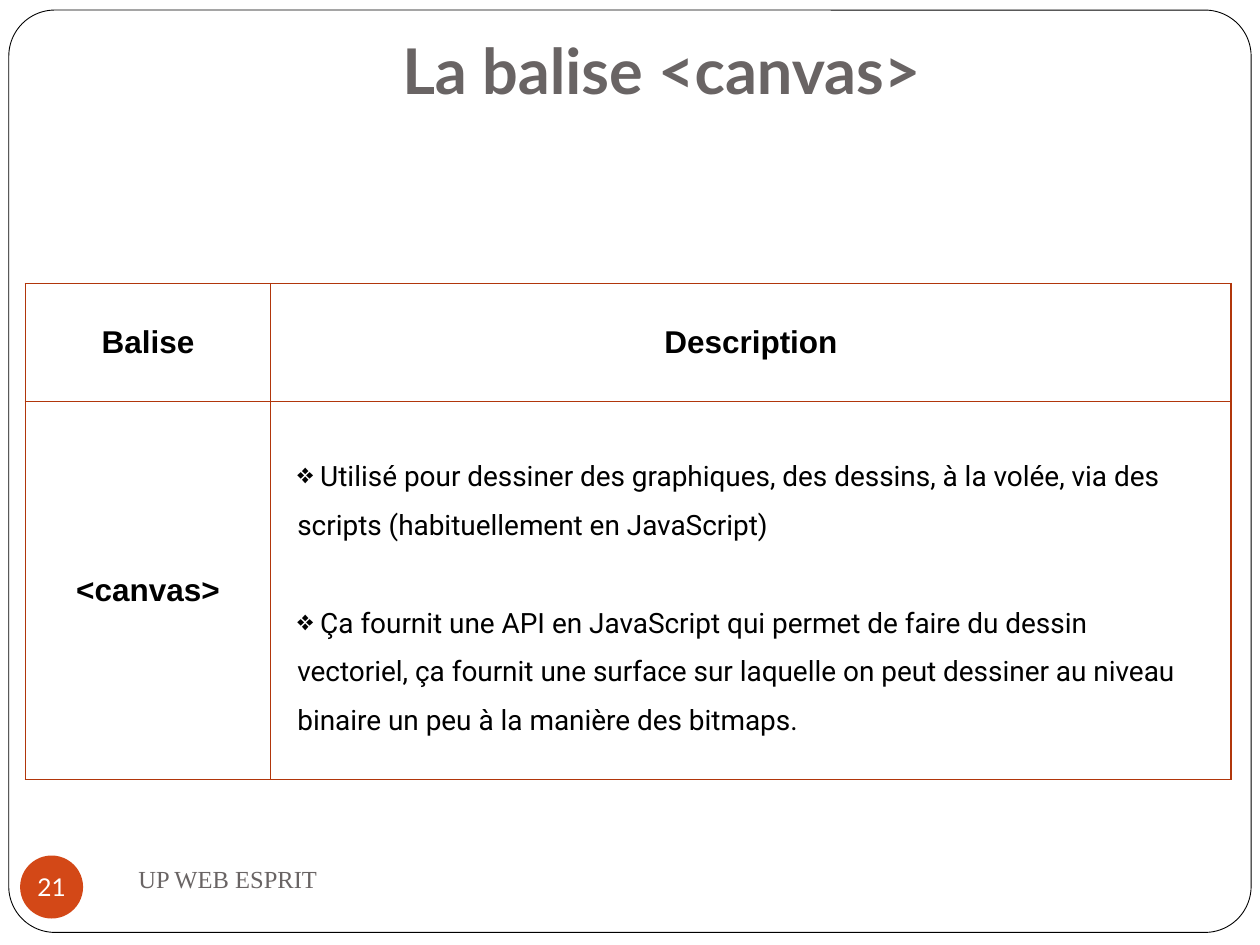
import pptx
import pptx.util
import pptx.dml.color
import pptx.enum.shapes
import pptx.enum.text
import pptx.oxml
import pptx.oxml.ns

Inches, Pt = pptx.util.Inches, pptx.util.Pt
RGBColor = pptx.dml.color.RGBColor
MSO_SHAPE = pptx.enum.shapes.MSO_SHAPE
PP_ALIGN = pptx.enum.text.PP_ALIGN
MSO_ANCHOR = pptx.enum.text.MSO_ANCHOR

WHITE = RGBColor(0xFF, 0xFF, 0xFF)
BLACK = RGBColor(0x00, 0x00, 0x00)
GREY = RGBColor(0x69, 0x64, 0x64)
ORANGE = RGBColor(0xD3, 0x48, 0x17)
RUST = RGBColor(0xB1, 0x36, 0x0B)

HEADERS = ["Balise", "Description"]
TAG = "<canvas>"
NOTES = [
    " Utilisé pour dessiner des graphiques, des dessins, à la volée, via des "
    "scripts (habituellement en JavaScript)",
    " Ça fournit une API en JavaScript qui permet de faire du dessin vectoriel, "
    "ça fournit une surface sur laquelle on peut dessiner au niveau binaire un "
    "peu à la manière des bitmaps.",
]


def add_run(p, text, size, font, color, bold=False):
    """Append a formatted run to a paragraph."""
    r = p.add_run()
    r.text = text
    r.font.size, r.font.name, r.font.bold = Pt(size), font, bold
    r.font.color.rgb = color


def add_text(s, box, text, size, font, color, bold=False,
             align=PP_ALIGN.LEFT, anchor=MSO_ANCHOR.MIDDLE):
    """Add a one-line text box."""
    tf = s.shapes.add_textbox(*map(Inches, box)).text_frame
    tf.word_wrap = True
    tf.vertical_anchor = anchor
    tf.margin_top = 0
    p = tf.paragraphs[0]
    p.alignment = align
    add_run(p, text, size, font, color, bold)


def add_frame(s, box):
    """Draw the rounded border of the slide."""
    sp = s.shapes.add_shape(MSO_SHAPE.ROUNDED_RECTANGLE, *map(Inches, box))
    sp.adjustments[0] = 0.05
    sp.shadow.inherit = False
    sp.fill.solid()
    sp.fill.fore_color.rgb = WHITE
    sp.line.color.rgb = BLACK
    sp.line.width = Pt(0.5)


def add_page_number(s, box, number):
    """Draw the page number in its disc."""
    sp = s.shapes.add_shape(MSO_SHAPE.OVAL, *map(Inches, box))
    sp.shadow.inherit = False
    sp.fill.solid()
    sp.fill.fore_color.rgb = ORANGE
    sp.line.fill.background()
    tf = sp.text_frame
    tf.margin_left = tf.margin_right = tf.margin_top = tf.margin_bottom = 0
    tf.word_wrap = False
    tf.vertical_anchor = MSO_ANCHOR.MIDDLE
    p = tf.paragraphs[0]
    p.alignment = PP_ALIGN.CENTER
    add_run(p, number, 14, "Lato", WHITE)


def style_cell(cell):
    """Give a cell its borders, fill, margins and anchor."""
    tc_pr = cell._tc.get_or_add_tcPr()
    for side in ("lnL", "lnR", "lnT", "lnB"):
        tc_pr.append(pptx.oxml.parse_xml(
            f'<a:{side} {pptx.oxml.ns.nsdecls("a")} w="{Pt(0.75)}">'
            f'<a:solidFill><a:srgbClr val="{RUST}"/></a:solidFill></a:{side}>'))
    cell.fill.solid()
    cell.fill.fore_color.rgb = WHITE
    cell.margin_left = cell.margin_right = Inches(0.21)
    cell.vertical_anchor = MSO_ANCHOR.MIDDLE


def add_bullet(p, char):
    """Put a bullet character before a paragraph."""
    p_pr = p._p.get_or_add_pPr()
    p_pr.set("marL", "0")
    p_pr.set("indent", "0")
    p_pr.append(pptx.oxml.parse_xml(
        f'<a:buChar {pptx.oxml.ns.nsdecls("a")} char="{char}"/>'))


def add_tag_table(s, box, widths, heights):
    """Add the table of the tag and its description."""
    table = s.shapes.add_table(len(heights), len(widths),
                               *map(Inches, box)).table
    table.horz_banding = False
    for col, width in zip(table.columns, widths):
        col.width = Inches(width)
    for row, height in zip(table.rows, heights):
        row.height = Inches(height)
    for cell in table.iter_cells():
        style_cell(cell)
    labels = [(0, 0, HEADERS[0]), (0, 1, HEADERS[1]), (1, 0, TAG)]
    for row, col, text in labels:
        p = table.cell(row, col).text_frame.paragraphs[0]
        p.alignment = PP_ALIGN.CENTER
        add_run(p, text, 18, "Arial", BLACK, True)
    tf = table.cell(1, 1).text_frame
    for i, text in enumerate(NOTES):
        p = tf.add_paragraph() if i else tf.paragraphs[0]
        p.line_spacing = 1.5
        if i:
            p.space_before = Pt(28)
        add_bullet(p, "❖")
        add_run(p, text, 16, "Roboto", BLACK)


def main():
    """Build the slide and save it."""
    prs = pptx.Presentation()
    prs.slide_width, prs.slide_height = Inches(10), Inches(7.5)
    s = prs.slides.add_slide(prs.slide_layouts[6])
    add_frame(s, (0.07, 0.08, 9.86, 7.32))
    add_text(s, (1, 0.25, 8.5, 1.25), "La balise <canvas>", 36, "Lato", GREY,
             True, PP_ALIGN.CENTER, MSO_ANCHOR.TOP)
    add_text(s, (1, 6.75, 4.33, 0.5), "UP WEB ESPRIT", 14,
             "Times New Roman", GREY)
    add_page_number(s, (0.16, 6.79, 0.5, 0.5), "21")
    add_tag_table(s, (0.2, 2.25, 9.57, 3.94), (1.95, 7.62), (0.94, 3))
    prs.save("out.pptx")


if __name__ == "__main__":
    main()
